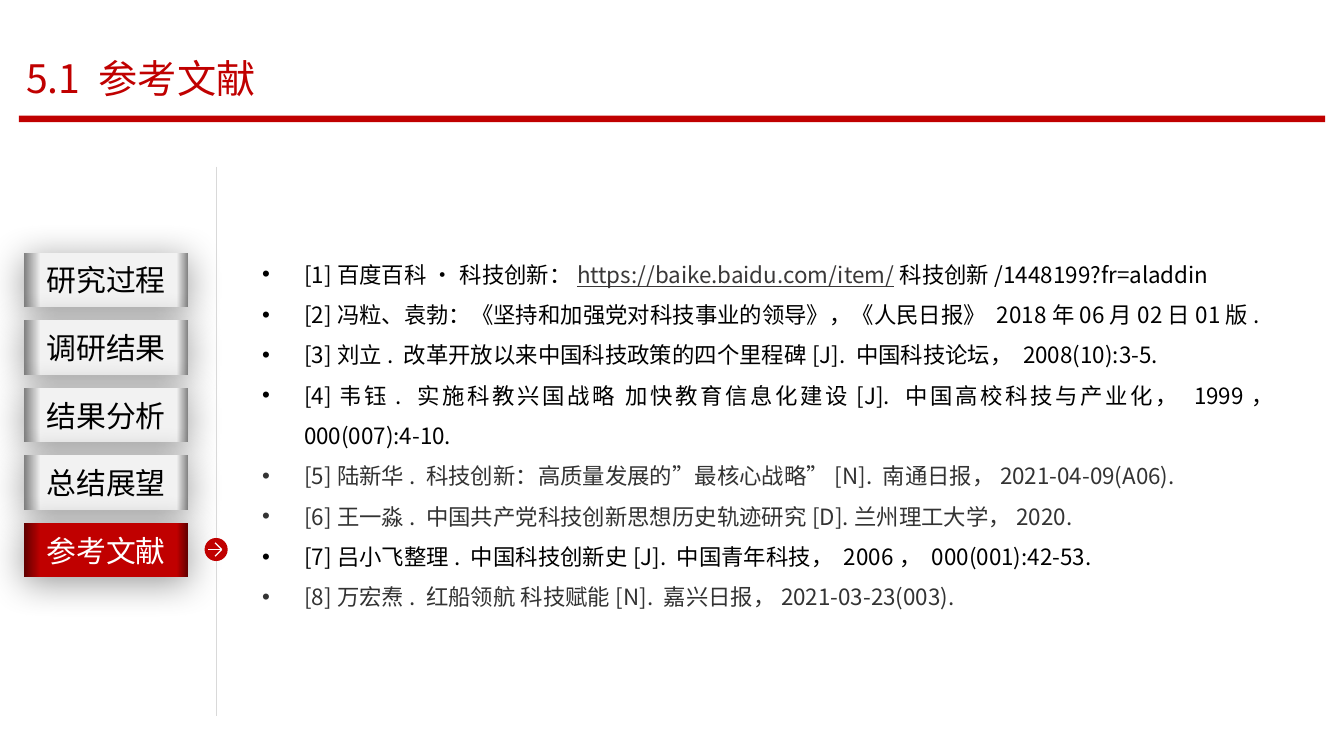
from lxml.etree import SubElement
from pptx import Presentation
from pptx.dml.color import RGBColor
from pptx.enum.shapes import MSO_CONNECTOR, MSO_SHAPE
from pptx.enum.text import MSO_ANCHOR, MSO_AUTO_SIZE, PP_ALIGN
from pptx.oxml.ns import qn
from pptx.util import Pt

COLORS = {"red": "C00000", "dark_red": "600000", "gray": "808080", "pale": "F2F2F2",
          "rule": "D9D9D9", "black": "000000", "white": "FFFFFF",
          "link": "3A3838", "soft": "333333"}
FONT = "Noto Sans CJK SC"

TITLE = "5.1 参考文献"
SECTIONS = ["研究过程", "调研结果", "结果分析", "总结展望", "参考文献"]
CURRENT = "参考文献"
REFERENCES = [
    [("[1]百度百科·科技创新：", "black"), ("https://baike.baidu.com/item/", "link"),
     ("科技创新/1448199?fr=aladdin", "black")],
    [("[2]冯粒、袁勃：《坚持和加强党对科技事业的领导》，《人民日报》 2018年06月02日01版.", "black")],
    [("[3]刘立. 改革开放以来中国科技政策的四个里程碑[J]. 中国科技论坛， 2008(10):3-5.", "black")],
    [("[4]韦钰. 实施科教兴国战略 加快教育信息化建设[J]. 中国高校科技与产业化， 1999， 000(007):4-10.", "black")],
    [("[5]陆新华. 科技创新：高质量发展的”最核心战略”[N]. 南通日报，2021-04-09(A06).", "soft")],
    [("[6]王一淼. 中国共产党科技创新思想历史轨迹研究[D].兰州理工大学，2020.", "soft")],
    [("[7]吕小飞整理. 中国科技创新史[J]. 中国青年科技， 2006， 000(001):42-53.", "black")],
    [("[8]万宏焘. 红船领航 科技赋能[N]. 嘉兴日报，2021-03-23(003).", "soft")],
]

TITLE_BOX = (8.6, 26.6, 277, 32.4)
LIST_BOX = (133.2, 128.9, 556.6, 200)
TITLE_RULE = (10.1, 61.9, 699.8, 3.6)
BUTTON = (13, 135.4, 87.8, 29.2)
BUTTON_STEP = 36.2
MARKER = (109.6, 288.2, 12.4, 12.4)
LINES = [((115.9, 89.3), (115.9, 383.8), "rule"),
         ((111.6, 294.4), (118.4, 294.4), "white"),
         ((115.2, 298), (118.8, 294.4), "white"),
         ((118.8, 294.4), (115.2, 290.8), "white")]


def color(name):
    return RGBColor.from_string(COLORS[name])


def apply(target, values):
    for name, value in values.items():
        setattr(target, name, value)


def place(shape, box):
    apply(shape, dict(zip(("left", "top", "width", "height"), map(Pt, box))))


def add_span(para, text, size, shade, underline=False):
    span = para.add_run()
    span.text = text
    apply(span.font, {"size": Pt(size), "name": FONT, "underline": underline})
    span.font.color.rgb = color(shade)
    SubElement(span.font._element, qn("a:ea"), typeface=FONT)


def add_plain_shape(page, kind, box, fill):
    shape = page.shapes.add_shape(kind, *map(Pt, box))
    shape.shadow.inherit = False
    shape.line.fill.background()
    shape.fill.solid()
    shape.fill.fore_color.rgb = color(fill)
    return shape


def add_button(page, label, top):
    current = label == CURRENT
    edge, middle, ink = ("dark_red", "red", "white") if current else ("gray", "pale", "black")
    left, _, width, height = BUTTON
    button = add_plain_shape(page, MSO_SHAPE.RECTANGLE, (left, top, width, height), middle)
    button.fill.gradient()
    button.fill.gradient_angle = 180
    properties = button._element.spPr
    stops = properties.find(".//" + qn("a:gsLst"))
    stops.clear()
    for position, name in ((0, edge), (7, middle), (90, middle), (100, edge)):
        stop = SubElement(stops, qn("a:gs"), pos=str(position * 1000))
        SubElement(stop, qn("a:srgbClr"), val=COLORS[name])
    shadow = SubElement(properties.find(qn("a:effectLst")), qn("a:outerShdw"),
                        blurRad=str(Pt(20)), dist=str(Pt(3)), dir="5400000", rotWithShape="0")
    tint = SubElement(shadow, qn("a:srgbClr"), val=COLORS["black"])
    SubElement(tint, qn("a:alpha"), val="40000")
    apply(button.text_frame, {"vertical_anchor": MSO_ANCHOR.MIDDLE, "word_wrap": True})
    para = button.text_frame.paragraphs[0]
    para.alignment = PP_ALIGN.CENTER
    add_span(para, label, 16, ink)


def add_line(page, start, end, shade):
    line = page.shapes.add_connector(MSO_CONNECTOR.STRAIGHT, *map(Pt, start + end))
    line.line.color.rgb = color(shade)
    line.line.width = Pt(0.75)
    SubElement(line._element.spPr, qn("a:effectLst"))


def fill_title(title):
    place(title, TITLE_BOX)
    apply(title.text_frame, {
        "margin_left": Pt(5.4), "margin_right": Pt(5.4), "margin_top": Pt(2.7),
        "margin_bottom": Pt(2.7), "vertical_anchor": MSO_ANCHOR.TOP,
        "word_wrap": True, "auto_size": MSO_AUTO_SIZE.NONE})
    para = title.text_frame.paragraphs[0]
    para.alignment = PP_ALIGN.LEFT
    add_span(para, TITLE, 21, "red")


def fill_references(body):
    place(body, LIST_BOX)
    frame = body.text_frame
    apply(frame, {"word_wrap": True, "auto_size": MSO_AUTO_SIZE.NONE,
                  "vertical_anchor": MSO_ANCHOR.TOP})
    for index, spans in enumerate(REFERENCES):
        para = frame.add_paragraph() if index else frame.paragraphs[0]
        properties = para._p.get_or_add_pPr()
        properties.set("marL", str(Pt(22.5)))
        properties.set("indent", str(Pt(-22.5)))
        SubElement(properties, qn("a:buFont"), typeface="Arial")
        SubElement(properties, qn("a:buChar"), char="•")
        apply(para, {"alignment": PP_ALIGN.JUSTIFY, "line_spacing": 1.5,
                     "space_before": Pt(0), "space_after": Pt(0)})
        for text, shade in spans:
            add_span(para, text, 12, shade, underline=shade == "link")


def main():
    """Build the reference list slide with its section navigation."""
    deck = Presentation()
    apply(deck, {"slide_width": Pt(720), "slide_height": Pt(405)})
    page = deck.slides.add_slide(deck.slide_layouts[1])
    fill_title(page.shapes.title)
    fill_references(page.placeholders[1])
    add_plain_shape(page, MSO_SHAPE.RECTANGLE, TITLE_RULE, "red")
    for index, label in enumerate(SECTIONS):
        add_button(page, label, BUTTON[1] + index * BUTTON_STEP)
    divider, *arrow = LINES
    add_line(page, *divider)
    add_plain_shape(page, MSO_SHAPE.OVAL, MARKER, "red")
    for stroke in arrow:
        add_line(page, *stroke)
    deck.save("out.pptx")


if __name__ == "__main__":
    main()
